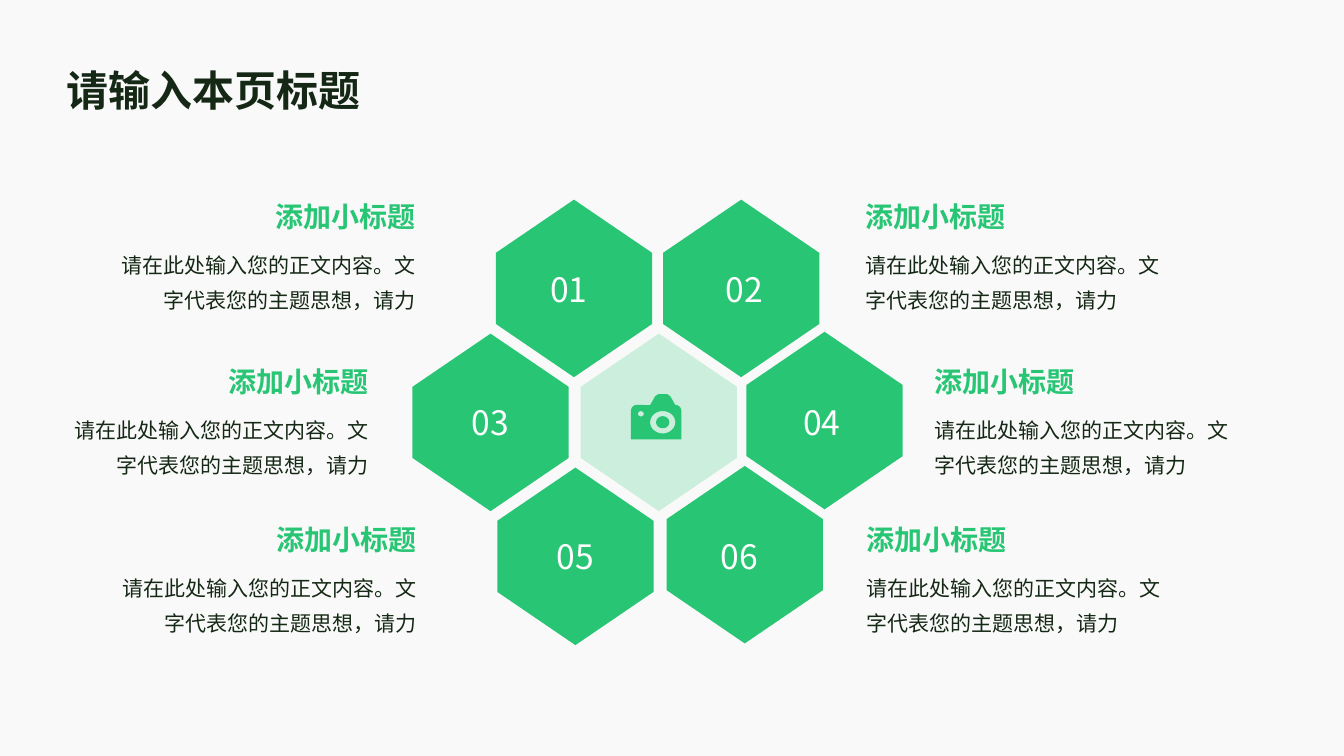
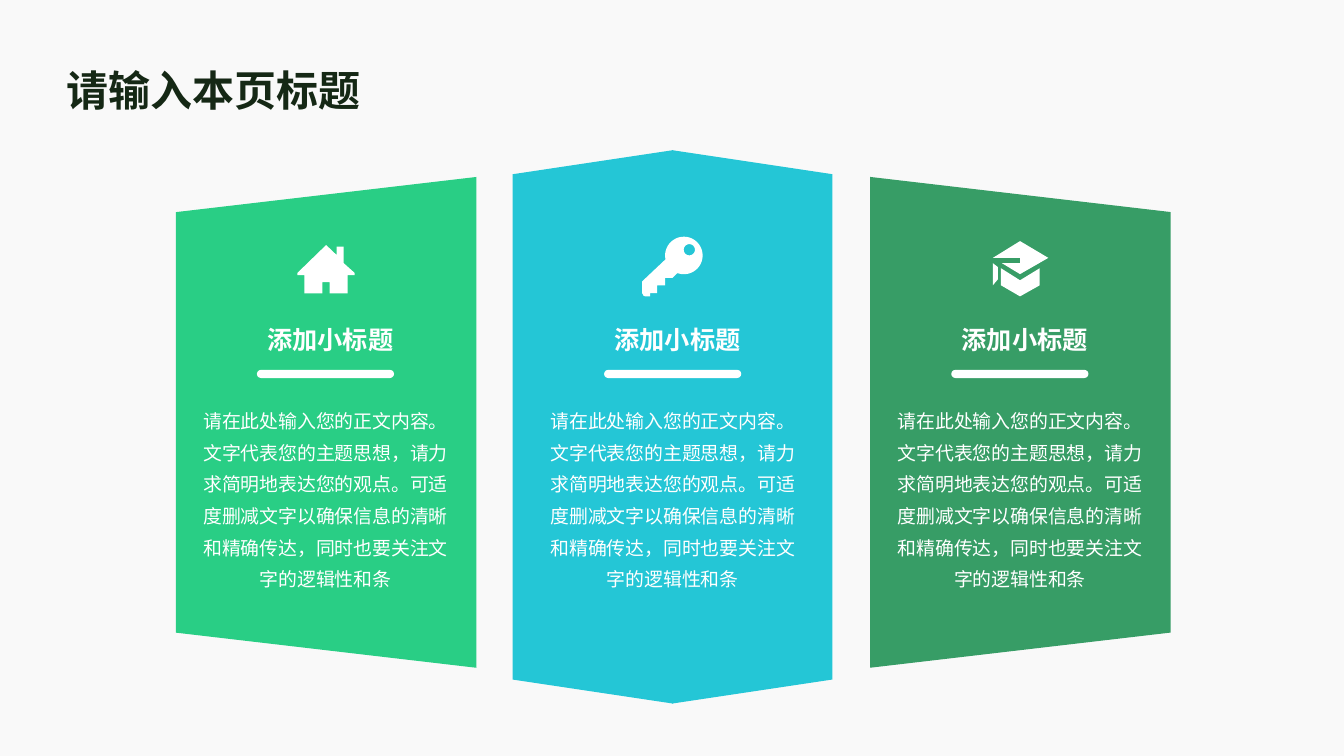
from math import cos, radians, sin

from lxml import etree
from pptx import Presentation
from pptx import util as u
from pptx.dml.color import RGBColor
from pptx.enum import shapes, text
from pptx.oxml.ns import qn

Pt = u.Pt
FACE = "Noto Sans CJK SC"
COLORS = {
    "back": "F9F9F9", "ink": "152815", "white": "FFFFFF", "leaf": "28C674",
    "mint": "29CE85", "cyan": "24C6D6", "pine": "379D66",
}
L, C, R = text.PP_ALIGN.LEFT, text.PP_ALIGN.CENTER, text.PP_ALIGN.RIGHT
TOP, MID = text.MSO_ANCHOR.TOP, text.MSO_ANCHOR.MIDDLE

# Text styles: font, line spacing, anchor, insets (left, top, right, bottom)
WIDE, SLIM = (10, 10, 4, 10), (5, 3, 5, 3)
STYLES = {
    "title": ({"size": Pt(30), "bold": True}, 1.4, MID, WIDE),
    "head": ({"size": Pt(20), "bold": True}, 1.2, MID, SLIM),
    "body": ({"size": Pt(15), "bold": False}, 1.4, TOP, SLIM),
    "number": ({"size": Pt(24), "bold": False}, 1.0, MID, (7, 4, 7, 4)),
    "card head": ({"size": Pt(18), "bold": True}, 1.2, MID, WIDE),
    "card body": ({"size": Pt(13.5), "bold": False}, 1.4, TOP, SLIM),
}

TITLE = "请输入本页标题"
HEAD = "添加小标题"
SHORT = "请在此处输入您的正文内容。文字代表您的主题思想，请力"
LONG = SHORT + "求简明地表达您的观点。可适度删减文字以确保信息的清晰和精确传达，同时也要关注文字的逻辑性和条"

# Rows of the honeycomb: number centre, top of the text
ROWS = [(206.3, 132.5), (301.3, 250.6), (397.1, 363.6)]
# Cells: hexagon centre, number centre x, left of the text
CELLS = [
    (410, 206, 406.4, 80), (529.4, 206, 531.7, 613.4),
    (350.4, 301.7, 350.3, 46.2), (589, 300.4, 587.2, 662.4),
    (411, 397.4, 410.8, 80.5), (532, 396.2, 528.1, 614),
]


def rgb(name):
    return RGBColor.from_string(COLORS[name])


def paint(shape, color, alpha=None):
    shape.shadow.inherit = False
    shape.fill.solid()
    shape.fill.fore_color.rgb = rgb(color)
    shape.line.fill.background()
    if alpha:
        tint = shape.fill._xPr.find(".//" + qn("a:srgbClr"))
        etree.SubElement(tint, qn("a:alpha")).set("val", str(alpha * 1000))
    return shape


def write(slide, box, words, style, color, align=L):
    font, gap, anchor, pads = STYLES[style]
    frame = slide.shapes.add_textbox(*map(Pt, box)).text_frame
    form = {"word_wrap": True, "vertical_anchor": anchor}
    sides = ("left", "top", "right", "bottom")
    form.update({f"margin_{side}": Pt(pad) for side, pad in zip(sides, pads)})
    for key, value in form.items():
        setattr(frame, key, value)
    para = frame.paragraphs[0]
    para.alignment, para.line_spacing = align, gap
    run = para.add_run()
    run.text = words
    for key, value in {**font, "name": FACE}.items():
        setattr(run.font, key, value)
    run.font.color.rgb = rgb(color)
    props = run._r.get_or_add_rPr()
    etree.SubElement(props, qn("a:ea")).set("typeface", FACE)


def draw(slide, loops, color, alpha=None):
    """Fill closed outlines; an outline inside another cuts a hole."""
    pen = None
    for loop in loops:
        dots = [(Pt(x), Pt(y)) for x, y in loop]
        if pen is None:
            pen = slide.shapes.build_freeform(*dots[0], scale=1.0)
        else:
            pen.move_to(*dots[0])
        pen.add_line_segments(dots[1:], close=True)
    paint(pen.convert_to_shape(), color, alpha)


def arc(x, y, wide, high, start=0, end=360, steps=48):
    turns = [radians(start + (end - start) * i / steps) for i in range(steps + 1)]
    return [(x + wide * cos(t), y + high * sin(t)) for t in turns]


def hexagon(slide, x, y, alpha=None):
    half, tall, side = 55.8, 63.4, 25.4
    draw(slide, [[(x, y - tall), (x + half, y - side), (x + half, y + side),
                  (x, y + tall), (x - half, y + side), (x - half, y - side)]],
         "leaf", alpha)


def panel(home, x, y, size, turn, slant, color):
    wide, high = size
    shape = home.add_shape(shapes.MSO_SHAPE.TRAPEZOID, Pt(x - wide / 2),
                           Pt(y - high / 2), Pt(wide), Pt(high))
    shape.rotation = turn
    shape.adjustments[0] = slant
    paint(shape, color)


# Icons
def camera(slide):
    case = arc(455, 293.5, 4.3, 4.3, 180, 270, 8)
    case += [(464.4, 289.4), (468, 283), (470.2, 281.5), (476.6, 281.5),
             (478.8, 283), (482.4, 289.4)]
    case += arc(482.4, 293.5, 4.3, 4.3, 270, 360, 8)
    case += [(486.7, 313.9), (450.7, 313.9)]
    draw(slide, [case, arc(473.4, 301.6, 9, 8), arc(473.4, 301.6, 4.7, 4.3),
                 arc(457.8, 295.6, 2.1, 1.9)], "leaf")


def house(slide):
    draw(slide, [[(253.4, 195), (245.5, 187.9), (245.5, 176.2), (240.5, 176.2),
                  (240.5, 182.2), (233, 175), (212.4, 195), (212.4, 196.6),
                  (217.5, 196.6), (217.5, 209.5), (230.4, 209.5),
                  (230.4, 201.6), (235.5, 201.6), (235.5, 209.5),
                  (248.4, 209.5), (248.4, 196.6), (253.4, 196.6)]], "white")


def key(slide):
    edge = arc(488.5, 182.5, 13.4, 13.4, 110, -192)
    edge += [(458.7, 201), (458.7, 209.5), (459.8, 211.4), (461.5, 211.8),
             (464.4, 211.8), (464.4, 209.4), (469.4, 209.4), (469.4, 203.8),
             (475.2, 203.8), (475.2, 198.6), (480.2, 198.6)]
    draw(slide, [edge, arc(492.4, 178.4, 4, 4)], "white")


def cap(slide):
    board = [(715.7, 188), (728.6, 195.8), (748.8, 184.2), (728.6, 172.2),
             (709.2, 184.2), (728.6, 184.2), (728.6, 188)]
    tassel = [(709.2, 188), (709.2, 203.8), (712.8, 199.5), (712.8, 190.8)]
    crown = [(728.6, 211.7), (715, 203.8), (715, 191.6), (728.6, 200.2),
             (742.7, 191.6), (742.7, 203.8)]
    draw(slide, [board, tassel, crown], "white")


# Slides
def page(deck):
    slide = deck.slides.add_slide(deck.slide_layouts[6])
    write(slide, (37.4, 20.9, 885, 72), TITLE, "title", "ink")
    return slide


def comb(deck):
    slide = page(deck)
    hexagon(slide, 470.6, 301.7, alpha=21)
    camera(slide)
    for i, (x, y, mid, left) in enumerate(CELLS):
        row, top = ROWS[i // 2]
        align = L if i % 2 else R
        hexagon(slide, x, y)
        write(slide, (mid - 33.5, row - 19, 67, 38), f"{i + 1:02}",
              "number", "white", C)
        write(slide, (left, top, 222, 39), HEAD, "head", "leaf", align)
        write(slide, (left, top + 37.4, 222, 62), SHORT, "body", "ink", align)


def cards(deck):
    slide = page(deck)
    # Folded panel in the middle, slanted panels beside it
    fold = slide.shapes.add_group_shape().shapes
    for x, turn in ((537.3, 90), (423.5, 270)):
        panel(fold, x, 304.9, (395.3, 114.5), turn, 0.15, "cyan")
    for x, turn, color in ((728.8, 90, "pine"), (233, 270, "mint")):
        panel(slide.shapes, x, 301.7, (350.6, 214.6), turn, 0.117, color)
    # Icon, heading, bar and text of each card
    for i, icon in enumerate((house, key, cap)):
        left = 139 + 248 * i
        icon(slide)
        write(slide, (left + 5, 216.7, 178, 47.5), HEAD, "card head", "white", C)
        bar = slide.shapes.add_shape(shapes.MSO_SHAPE.ROUNDED_RECTANGLE,
                                     Pt(left + 44.5), Pt(264.2), Pt(98), Pt(5.8))
        bar.adjustments[0] = 0.5
        paint(bar, "white")
        write(slide, (left, 283, 187.2, 150), LONG, "card body", "white", C)


def main():
    deck = Presentation()
    deck.slide_width, deck.slide_height = Pt(960), Pt(540)
    back = deck.slide_master.background.fill
    back.solid()
    back.fore_color.rgb = rgb("back")
    comb(deck)
    cards(deck)
    deck.save("out.pptx")


if __name__ == "__main__":
    main()
